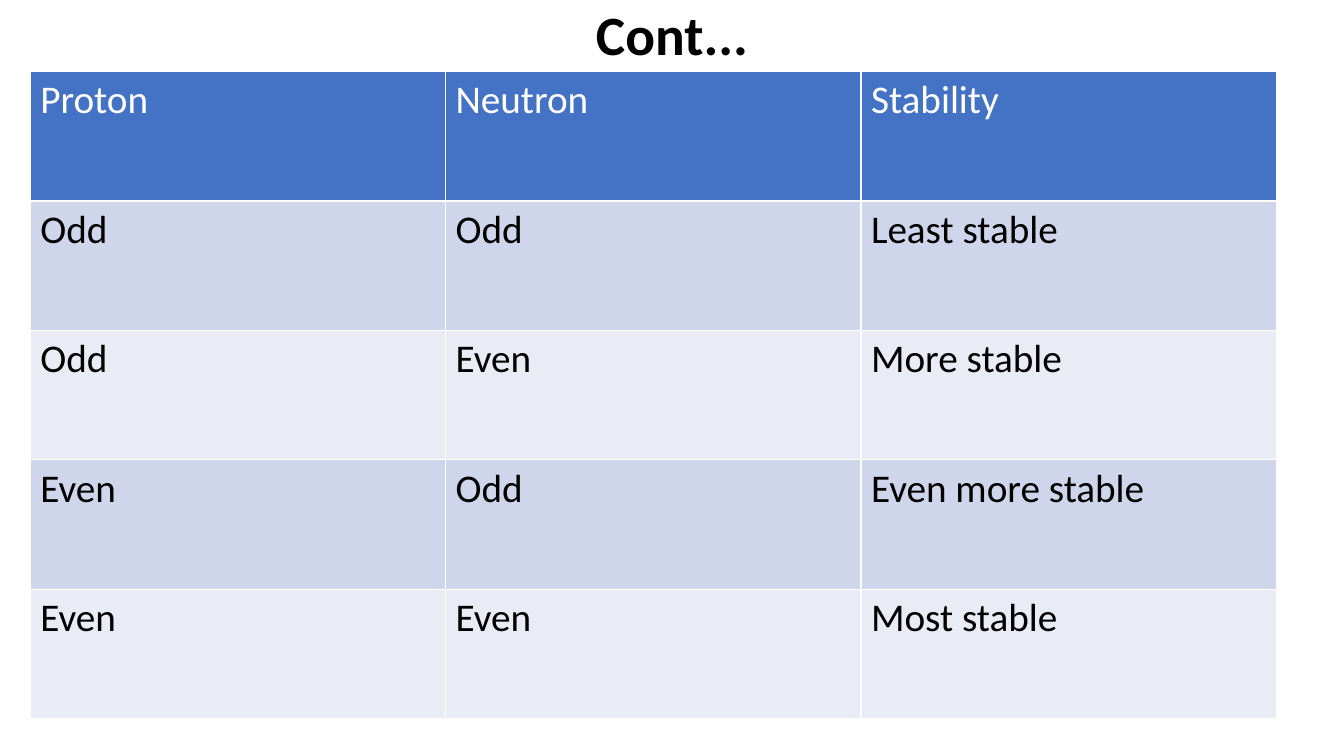
from pptx import Presentation
from pptx.dml.color import RGBColor
from pptx.enum.text import MSO_ANCHOR, MSO_AUTO_SIZE, PP_ALIGN
from pptx.util import Emu, Pt

CENTER = PP_ALIGN.CENTER
MIDDLE = MSO_ANCHOR.MIDDLE
NO_AUTOFIT = MSO_AUTO_SIZE.NONE
TITLE_ONLY = 5
EMU_PER_PX = 9144
FONT = "Calibri"
COLORS = {
    "header": "4472C4",
    "odd_row": "CFD5EA",
    "even_row": "E9EBF5",
    "header_text": "FFFFFF",
    "text": "000000",
}
STABILITY_ROWS = [
    ("Proton", "Neutron", "Stability"),
    ("Odd", "Odd", "Least stable"),
    ("Odd", "Even", "More stable"),
    ("Even", "Odd", "Even more stable"),
    ("Even", "Even", "Most stable"),
]


def px(length):
    """Convert pixels to EMU."""
    return Emu(length * EMU_PER_PX)


def format_runs(paragraph, size, color, bold=False):
    """Apply font settings to every run of a paragraph."""
    for run in paragraph.runs:
        run.font.name = FONT
        run.font.size = Pt(size)
        run.font.bold = bold
        run.font.color.rgb = RGBColor.from_string(COLORS[color])


def set_title(slide, text, left, top, width, height):
    """Place and format the slide title."""
    title = slide.shapes.title
    title.left, title.top = px(left), px(top)
    title.width, title.height = px(width), px(height)
    text_frame = title.text_frame
    text_frame.text = text
    text_frame.auto_size = NO_AUTOFIT
    text_frame.vertical_anchor = MIDDLE
    paragraph = text_frame.paragraphs[0]
    paragraph.alignment = CENTER
    paragraph.line_spacing = 0.9
    format_runs(paragraph, 39.6, "text", bold=True)


def add_banded_table(slide, rows, left, top, width, height):
    """Add a table with a header row and alternating row fills."""
    table = slide.shapes.add_table(
        len(rows), len(rows[0]), px(left), px(top), px(width), px(height)
    ).table
    for row_index, row in enumerate(rows):
        if row_index == 0:
            fill, text_color = "header", "header_text"
        else:
            fill, text_color = ("odd_row" if row_index % 2 else "even_row"), "text"
        for column_index, text in enumerate(row):
            cell = table.cell(row_index, column_index)
            cell.fill.solid()
            cell.fill.fore_color.rgb = RGBColor.from_string(COLORS[fill])
            cell.text_frame.text = text
            format_runs(cell.text_frame.paragraphs[0], 28, text_color)


def main():
    """Build and save the nuclear stability slide."""
    presentation = Presentation()
    presentation.slide_width, presentation.slide_height = px(1333), px(750)
    slide = presentation.slides.add_slide(presentation.slide_layouts[TITLE_ONLY])
    set_title(slide, "Cont...", 0, 14, 1333, 46)
    add_banded_table(slide, STABILITY_ROWS, 30, 71, 1236, 642)
    presentation.save("out.pptx")


if __name__ == "__main__":
    main()
